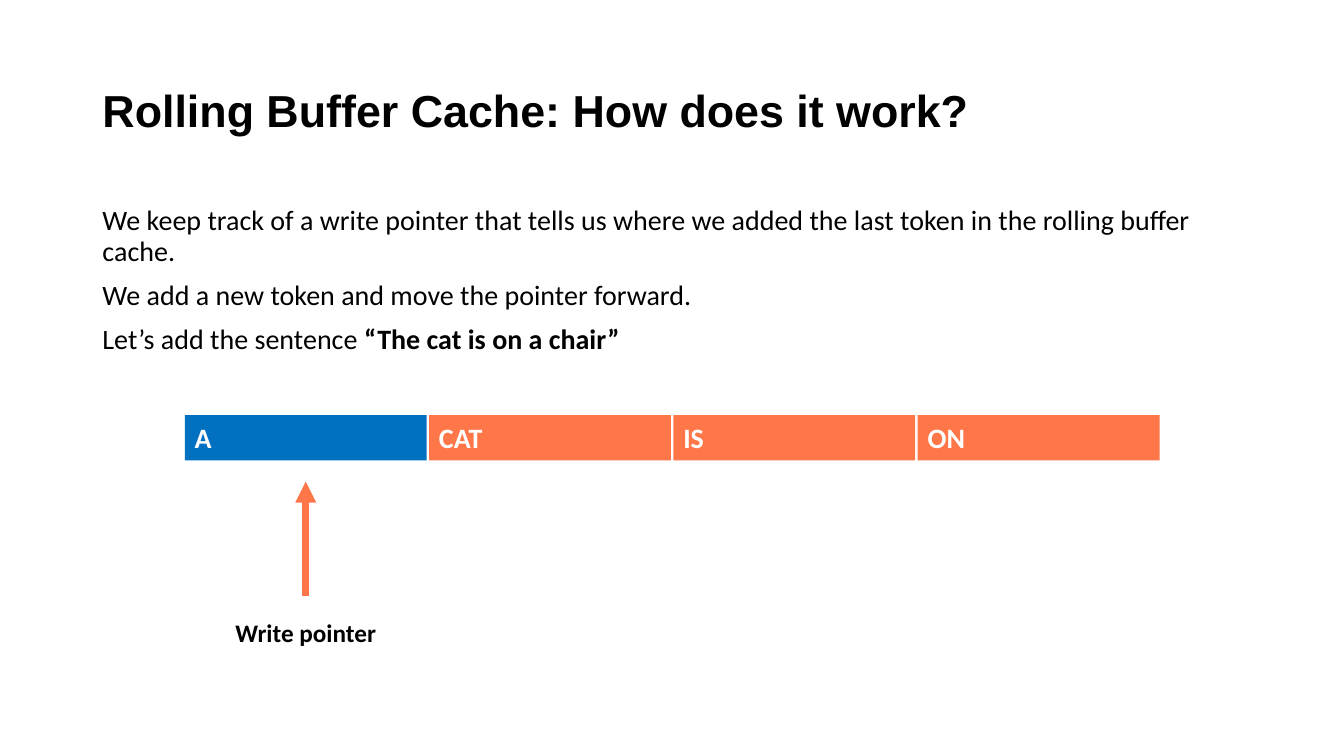
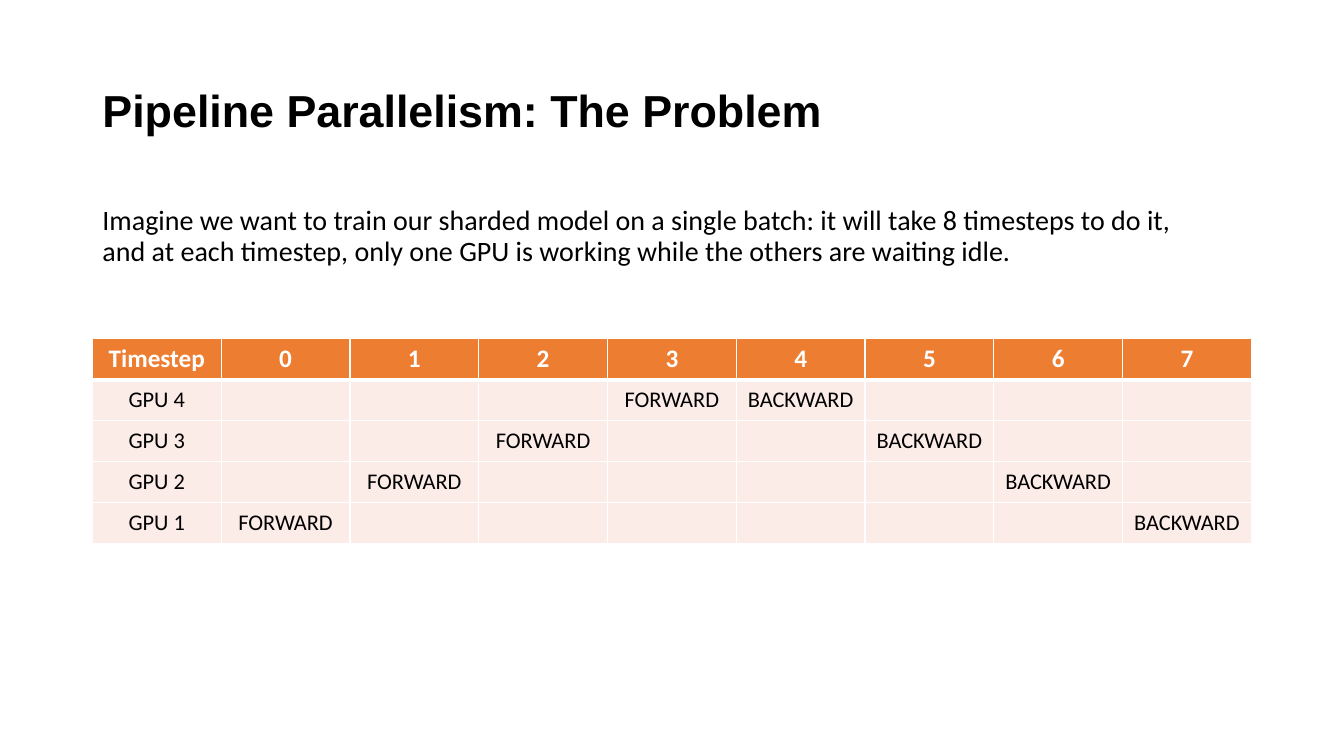
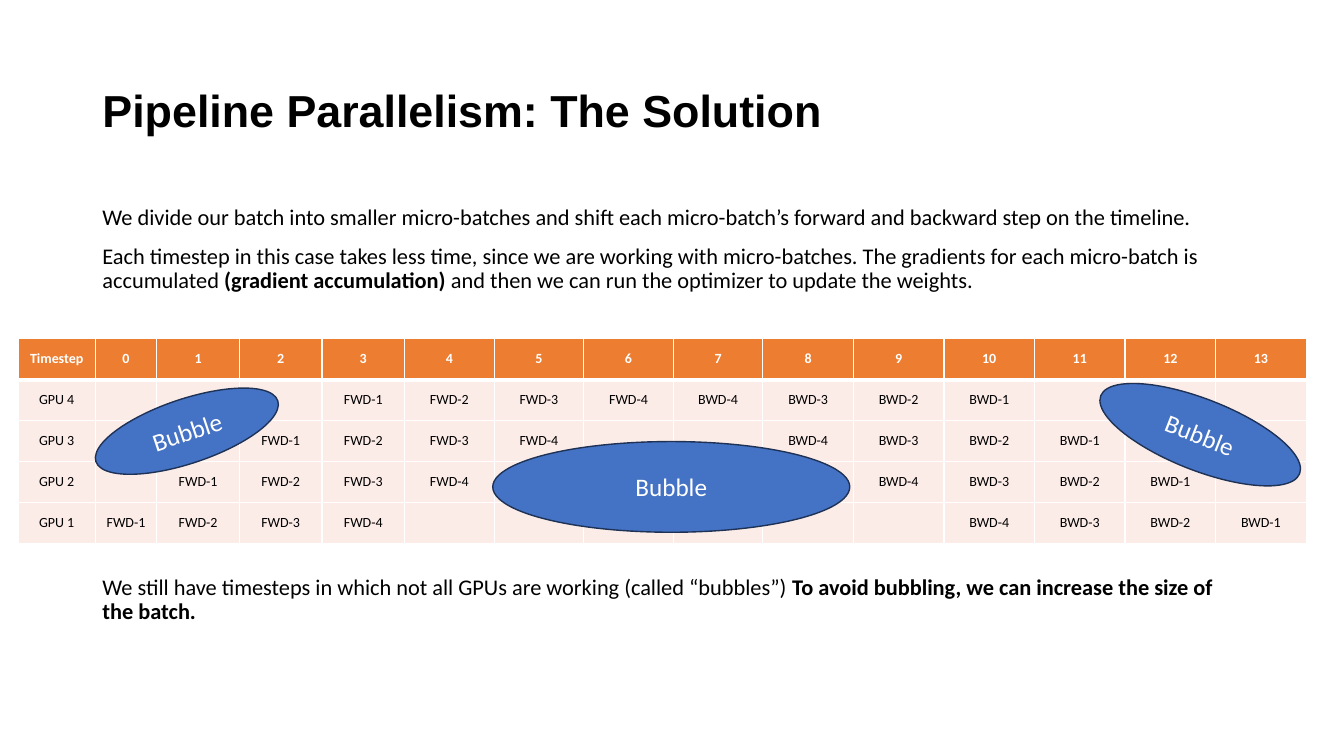
from lxml import etree
from pptx import Presentation
from pptx.dml.color import RGBColor
from pptx.enum.shapes import MSO_CONNECTOR, MSO_SHAPE
from pptx.enum.text import MSO_ANCHOR, MSO_AUTO_SIZE, PP_ALIGN
from pptx.oxml.ns import qn
from pptx.util import Pt

LEFT, CENTER = PP_ALIGN.LEFT, PP_ALIGN.CENTER
TOP, MIDDLE = MSO_ANCHOR.TOP, MSO_ANCHOR.MIDDLE
NO_FIT, GROW = MSO_AUTO_SIZE.NONE, MSO_AUTO_SIZE.SHAPE_TO_FIT_TEXT
RECTANGLE, OVAL = MSO_SHAPE.RECTANGLE, MSO_SHAPE.OVAL
STRAIGHT = MSO_CONNECTOR.STRAIGHT


def rgb(value):
    return RGBColor.from_string(value)


class Slides:
    TITLE_FONT, BODY_FONT = "Arial", "Calibri"
    BLACK, WHITE = "000000", "FFFFFF"
    BLUE, CORAL = "0070C0", "FF7749"
    HEADER, ROW = "ED7D31", "FCECE8"
    BUBBLE, BUBBLE_LINE = "4472C4", "1E3256"
    MARGIN = 66

    def __init__(self):
        self.deck = Presentation()
        self.deck.slide_width, self.deck.slide_height = Pt(960), Pt(540)
        self.page = None

    def style(self, para, size, color=BLACK, bold=None, align=LEFT, font=BODY_FONT):
        para.alignment = align
        for span in para.runs:
            span.font.name, span.font.size = font, Pt(size)
            span.font.color.rgb = rgb(color)
            if bold is not None:
                span.font.bold = bold

    def place(self, shape, left, top, width, height):
        shape.left, shape.top = Pt(left), Pt(top)
        shape.width, shape.height = Pt(width), Pt(height)

    def new_page(self, title):
        self.page = self.deck.slides.add_slide(self.deck.slide_layouts[1])
        box = self.page.shapes.title
        self.place(box, self.MARGIN, 28.8, 828, 104.4)
        frame = box.text_frame
        frame.text = title
        frame.vertical_anchor, frame.auto_size = MIDDLE, NO_FIT
        para = frame.paragraphs[0]
        para.line_spacing = 0.9
        self.style(para, 32, bold=True, font=self.TITLE_FONT)

    def body(self, paragraphs, size, height, gaps=None):
        """Each paragraph is a list of spans; every second span is bold."""
        box = self.page.placeholders[1]
        self.place(box, self.MARGIN, 144, 811, height)
        frame = box.text_frame
        frame.vertical_anchor, frame.auto_size = TOP, NO_FIT
        for index, spans in enumerate(paragraphs):
            para = frame.add_paragraph() if index else frame.paragraphs[0]
            properties = para._p.get_or_add_pPr()
            properties.set("marL", "0")
            properties.set("indent", "0")
            etree.SubElement(properties, qn("a:buNone"))
            para.line_spacing = 0.9
            para.space_before = Pt((gaps or {}).get(index, 10) if index else 0)
            for position, text in enumerate(spans):
                span = para.add_run()
                span.text = text
                span.font.bold = position % 2 == 1
            self.style(para, size)

    def shape(self, kind, frame, text, fill, size, line=None, bold=False,
              align=CENTER, rotation=0):
        shape = self.page.shapes.add_shape(kind, *map(Pt, frame))
        shape.shadow.inherit = False
        shape.rotation = rotation
        shape.fill.solid()
        shape.fill.fore_color.rgb = rgb(fill)
        if line:
            shape.line.color.rgb = rgb(line)
            shape.line.width = Pt(1)
        else:
            shape.line.fill.background()
        shape.text_frame.text = text
        shape.text_frame.vertical_anchor = MIDDLE
        self.style(shape.text_frame.paragraphs[0], size, self.WHITE, bold, align)

    def bubble(self, frame, rotation=0):
        self.shape(OVAL, frame, "Bubble", self.BUBBLE, 18, self.BUBBLE_LINE,
                   rotation=rotation)

    def label(self, frame, text, size):
        box = self.page.shapes.add_textbox(*map(Pt, frame))
        box.text_frame.word_wrap = True
        box.text_frame.text = text
        box.text_frame.vertical_anchor = MIDDLE
        box.text_frame.auto_size = GROW
        self.style(box.text_frame.paragraphs[0], size, bold=True, align=CENTER)

    def arrow(self, start, end, color, width):
        line = self.page.shapes.add_connector(STRAIGHT, *map(Pt, start + end))
        line.line.color.rgb = rgb(color)
        line.line.width = Pt(width)
        etree.SubElement(line.line._get_or_add_ln(), qn("a:tailEnd"), type="triangle")
        etree.SubElement(line._element.spPr, qn("a:effectLst"))

    def borders(self, cell, bottom, top):
        properties = cell._tc.get_or_add_tcPr()
        for side, width in (("L", 1), ("R", 1), ("T", top), ("B", bottom)):
            line = etree.SubElement(properties, qn("a:ln" + side), w=str(Pt(width)))
            fill = etree.SubElement(line, qn("a:solidFill"))
            etree.SubElement(fill, qn("a:srgbClr"), val=self.WHITE)

    def table(self, left, top, widths, row_height, rows, header_size, size):
        grid = self.page.shapes.add_table(
            len(rows), len(widths), Pt(left), Pt(top),
            Pt(sum(widths)), Pt(row_height * len(rows))).table
        grid.horz_banding = False
        for column, width in zip(grid.columns, widths):
            column.width = Pt(width)
        for r, texts in enumerate(rows):
            grid.rows[r].height = Pt(row_height)
            header = r == 0
            for c, text in enumerate(texts):
                cell = grid.cell(r, c)
                self.borders(cell, 3 if header else 1, 3 if r == 1 else 1)
                cell.fill.solid()
                cell.fill.fore_color.rgb = rgb(self.HEADER if header else self.ROW)
                cell.vertical_anchor = MIDDLE
                cell.text_frame.text = text
                self.style(cell.text_frame.paragraphs[0],
                           header_size if header else size,
                           self.WHITE if header else self.BLACK, header, CENTER)


def schedule(steps, forward, backward):
    """Timeline of four GPUs: forward steps from the left, backward from the right."""
    rows = [["Timestep"] + [str(step) for step in range(steps)]]
    for gpu in range(4, 0, -1):
        row = [f"GPU {gpu}"] + [""] * steps
        for batch, (ahead, back) in enumerate(zip(forward, backward)):
            row[gpu + batch] = ahead
            row[steps + 1 - gpu - batch] = back
        rows.append(row)
    return rows


def main():
    slides = Slides()

    # Rolling buffer with its write pointer
    slides.new_page("Rolling Buffer Cache: How does it work?")
    slides.body([
        ["We keep track of a write pointer that tells us where we added the last "
         "token in the rolling buffer cache."],
        ["We add a new token and move the pointer forward."],
        ["Let’s add the sentence ", "“The cat is on a chair”"],
    ], 20, 137.5)
    slot_left, slot_width, slot_pitch = 132, 172.8, 174.5
    for index, token in enumerate(["A", "CAT", "IS", "ON"]):
        slides.shape(RECTANGLE, (slot_left + index * slot_pitch, 296.5, slot_width, 32.4),
                     token, slides.CORAL if index else slides.BLUE, 20,
                     bold=True, align=LEFT)
    pointer = slot_left + slot_width / 2
    slides.arrow((pointer, 425.5), (pointer, 344), slides.CORAL, 5)
    slides.label((pointer - 92, 437, 184, 29), "Write pointer", 18)

    # One batch through the pipeline
    slides.new_page("Pipeline Parallelism: The Problem")
    slides.body([
        ["Imagine we want to train our sharded model on a single batch: it will take "
         "8 timesteps to do it, and at each timestep, only one GPU is working while "
         "the others are waiting idle."],
    ], 20, 343)
    slides.table(slides.MARGIN, 242, [92] * 9, 29.2,
                 schedule(8, ["FORWARD"], ["BACKWARD"]), 18, 16)

    # Four micro-batches through the pipeline
    slides.new_page("Pipeline Parallelism: The Solution")
    slides.body([
        ["We divide our batch into smaller micro-batches and shift each micro-batch’s "
         "forward and backward step on the timeline."],
        ["Each timestep in this case takes less time, since we are working with "
         "micro-batches. The gradients for each micro-batch is accumulated ",
         "(gradient accumulation) ",
         "and then we can run the optimizer to update the weights."],
        ["We still have timesteps in which not all GPUs are working (called “bubbles”) ",
         "To avoid bubbling, we can increase the size of the batch."],
    ], 16, 343, gaps={2: 202})
    batches = range(1, 5)
    slides.table(13, 242, [55, 44] + [59] * 3 + [64] * 4 + [64.7] * 6, 29.2,
                 schedule(14, [f"FWD-{n}" for n in batches],
                          [f"BWD-{n}" for n in batches]), 10, 10)
    slides.bubble((781, 285, 152.6, 51), 21.4)
    slides.bubble((352, 315.4, 255, 64.8))
    slides.bubble((65, 285, 137, 46), 341.5)

    slides.deck.save("out.pptx")


if __name__ == "__main__":
    main()
